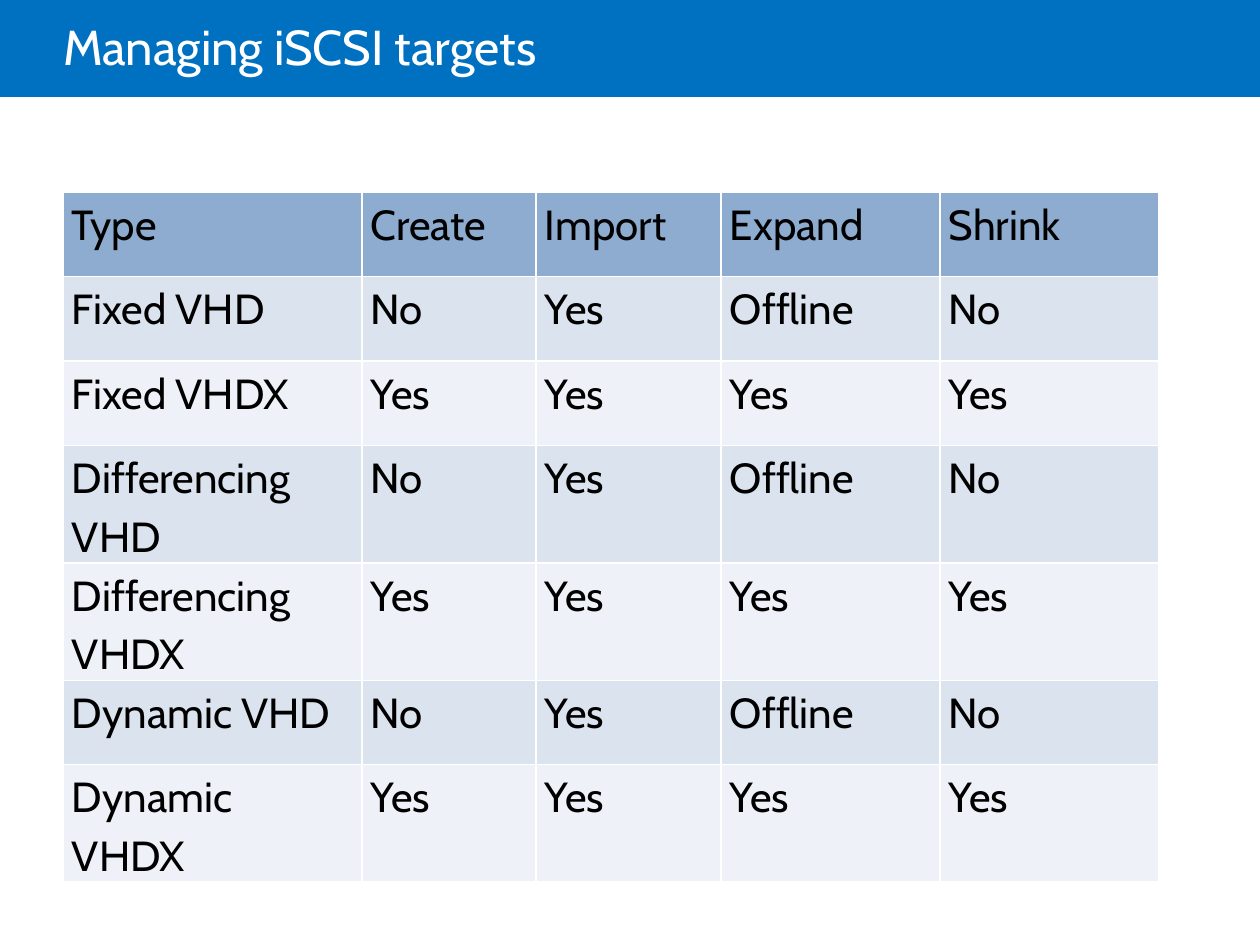
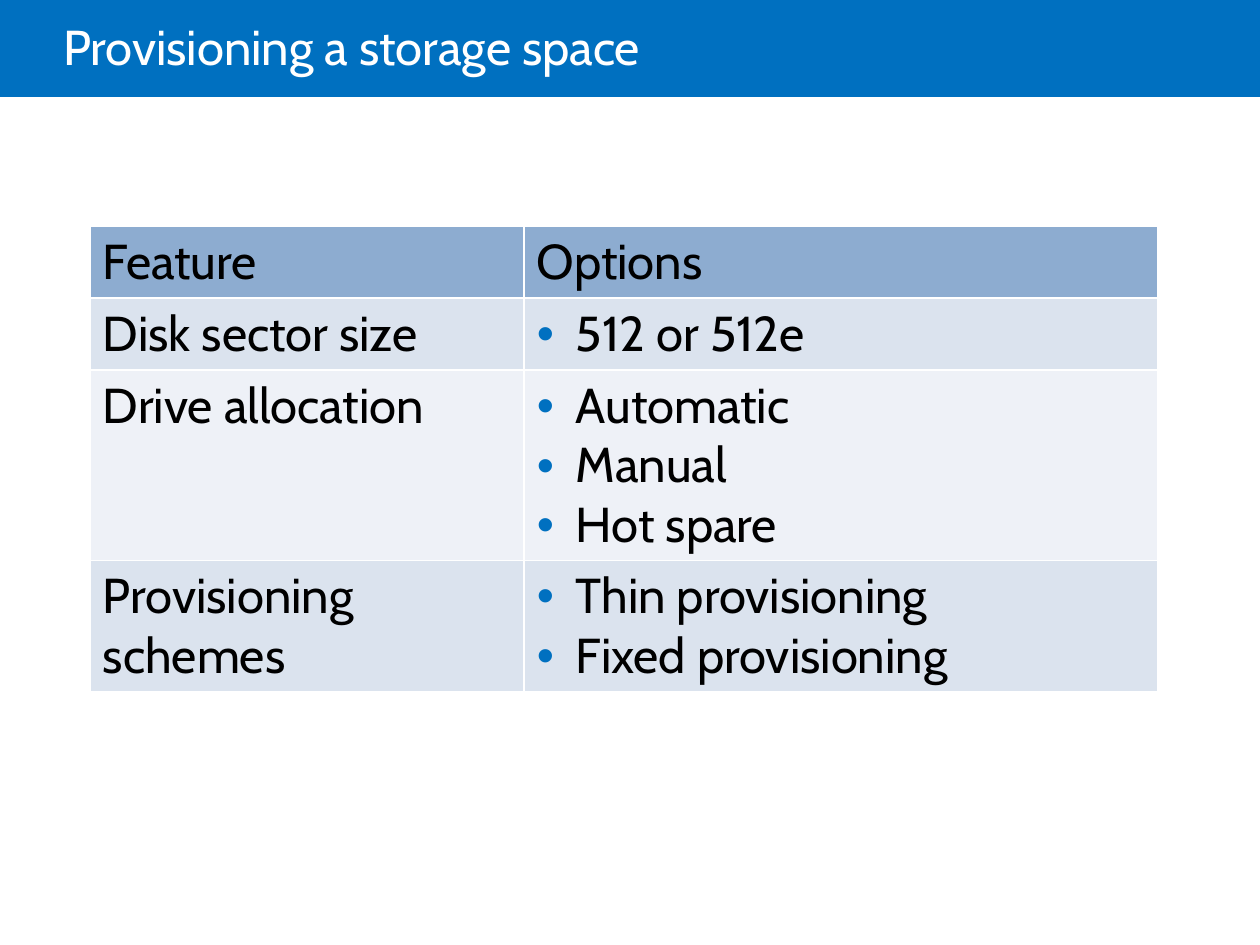
from lxml import etree
from pptx import Presentation
from pptx.dml.color import RGBColor
from pptx.enum.shapes import MSO_SHAPE
from pptx.enum.text import MSO_ANCHOR, MSO_AUTO_SIZE, PP_ALIGN
from pptx.oxml.ns import qn
from pptx.util import Pt

RECT = MSO_SHAPE.RECTANGLE
MIDDLE, TOP = MSO_ANCHOR.MIDDLE, MSO_ANCHOR.TOP
LEFT = PP_ALIGN.LEFT
NO_FIT = MSO_AUTO_SIZE.NONE

FONT = "Cabin"
COLORS = {
    "band": "0070C0",
    "white": "FFFFFF",
    "text": "000000",
    "head": "8DACD0",
    "odd": "DBE3EE",
    "even": "EEF1F7",
}
SLIDE = (1260, 945)
BAND = (0, 0, 1260, 97)
TITLE = (63, 0, 1071, 102)
INDENT = 39

DISKS = [
    ["Type", "Create", "Import", "Expand", "Shrink"],
    ["Fixed VHD", "No", "Yes", "Offline", "No"],
    ["Fixed VHDX", "Yes", "Yes", "Yes", "Yes"],
    ["Differencing VHD", "No", "Yes", "Offline", "No"],
    ["Differencing VHDX", "Yes", "Yes", "Yes", "Yes"],
    ["Dynamic VHD", "No", "Yes", "Offline", "No"],
    ["Dynamic VHDX", "Yes", "Yes", "Yes", "Yes"],
]
# A list in a cell becomes a bulleted list
SPACES = [
    ["Feature", "Options"],
    ["Disk sector size", ["512 or 512e"]],
    ["Drive allocation", ["Automatic", "Manual", "Hot spare"]],
    ["Provisioning schemes", ["Thin provisioning", "Fixed provisioning"]],
]


def px(n):
    return round(n * 914400 / 126)


def rgb(name):
    return RGBColor.from_string(COLORS[name])


def add_run(para, text, size, color):
    run = para.add_run()
    run.text = text
    font = run.font
    font.name, font.size, font.bold = FONT, Pt(size), False
    font.color.rgb = rgb(color)


def add_color(parent, name):
    etree.SubElement(parent, qn("a:srgbClr"), val=COLORS[name])


def add_bullet(para):
    props = para._p.get_or_add_pPr()
    props.set("marL", str(px(INDENT)))
    props.set("indent", str(-px(INDENT)))
    add_color(etree.SubElement(props, qn("a:buClr")), "band")
    etree.SubElement(props, qn("a:buFont"), typeface="Arial")
    etree.SubElement(props, qn("a:buChar"), char="•")


def add_edges(cell):
    props = cell._tc.get_or_add_tcPr()
    for i, side in enumerate(("lnL", "lnR", "lnT", "lnB")):
        line = etree.Element(qn("a:" + side), w=str(Pt(1)))
        add_color(etree.SubElement(line, qn("a:solidFill")), "white")
        props.insert(i, line)


def fill_cell(cell, value, fill, size, pad, space):
    cell.fill.solid()
    cell.fill.fore_color.rgb = rgb(fill)
    cell.vertical_anchor = TOP
    cell.margin_left = cell.margin_right = px(pad[0])
    cell.margin_top = cell.margin_bottom = px(pad[1])
    add_edges(cell)
    listed = isinstance(value, list)
    frame = cell.text_frame
    for i, text in enumerate(value if listed else [value]):
        para = frame.add_paragraph() if i else frame.paragraphs[0]
        para.line_spacing = space
        if listed:
            add_bullet(para)
        add_run(para, text, size, "text")


def add_grid(slide, spot, data, cols, rows, size, pad, space):
    box = (*spot, sum(cols), sum(rows))
    table = slide.shapes.add_table(len(rows), len(cols), *map(px, box)).table
    for col, width in zip(table.columns, cols):
        col.width = px(width)
    for row, height in zip(table.rows, rows):
        row.height = px(height)
    for r, line in enumerate(data):
        fill = "head" if r == 0 else "odd" if r % 2 else "even"
        for c, value in enumerate(line):
            fill_cell(table.cell(r, c), value, fill, size, pad, space)


def add_band(slide, box):
    band = slide.shapes.add_shape(RECT, *map(px, box))
    band.shadow.inherit = False
    band.fill.solid()
    band.fill.fore_color.rgb = rgb("band")
    band.line.fill.background()
    # Place the band behind the title
    slide.shapes.title._element.addprevious(band._element)


def add_title(slide, box, text):
    title = slide.shapes.title
    title.left, title.top, title.width, title.height = map(px, box)
    frame = title.text_frame
    frame.auto_size, frame.word_wrap = NO_FIT, True
    frame.vertical_anchor = MIDDLE
    frame.margin_left, frame.margin_right = 0, px(13)
    frame.margin_top = frame.margin_bottom = px(6)
    para = frame.paragraphs[0]
    para.alignment, para.line_spacing = LEFT, 0.85
    add_run(para, text, 28, "white")


def add_slide(deck, title):
    slide = deck.slides.add_slide(deck.slide_layouts[5])
    add_band(slide, BAND)
    add_title(slide, TITLE, title)
    return slide


def main():
    deck = Presentation()
    deck.slide_width, deck.slide_height = map(px, SLIDE)

    # Disk types and what can be done with them
    slide = add_slide(deck, "Managing iSCSI targets")
    add_grid(slide, (63, 192), DISKS, [299, 174, 185, 219, 219],
             [84.5] * len(DISKS), 24, (9, 0), 1.15)

    # Features of a storage space
    slide = add_slide(deck, "Provisioning a storage space")
    add_grid(slide, (90, 226), SPACES, [434, 634],
             [72, 72, 178, 72], 28, (13, 6), 1.0)

    deck.save("out.pptx")


if __name__ == "__main__":
    main()
